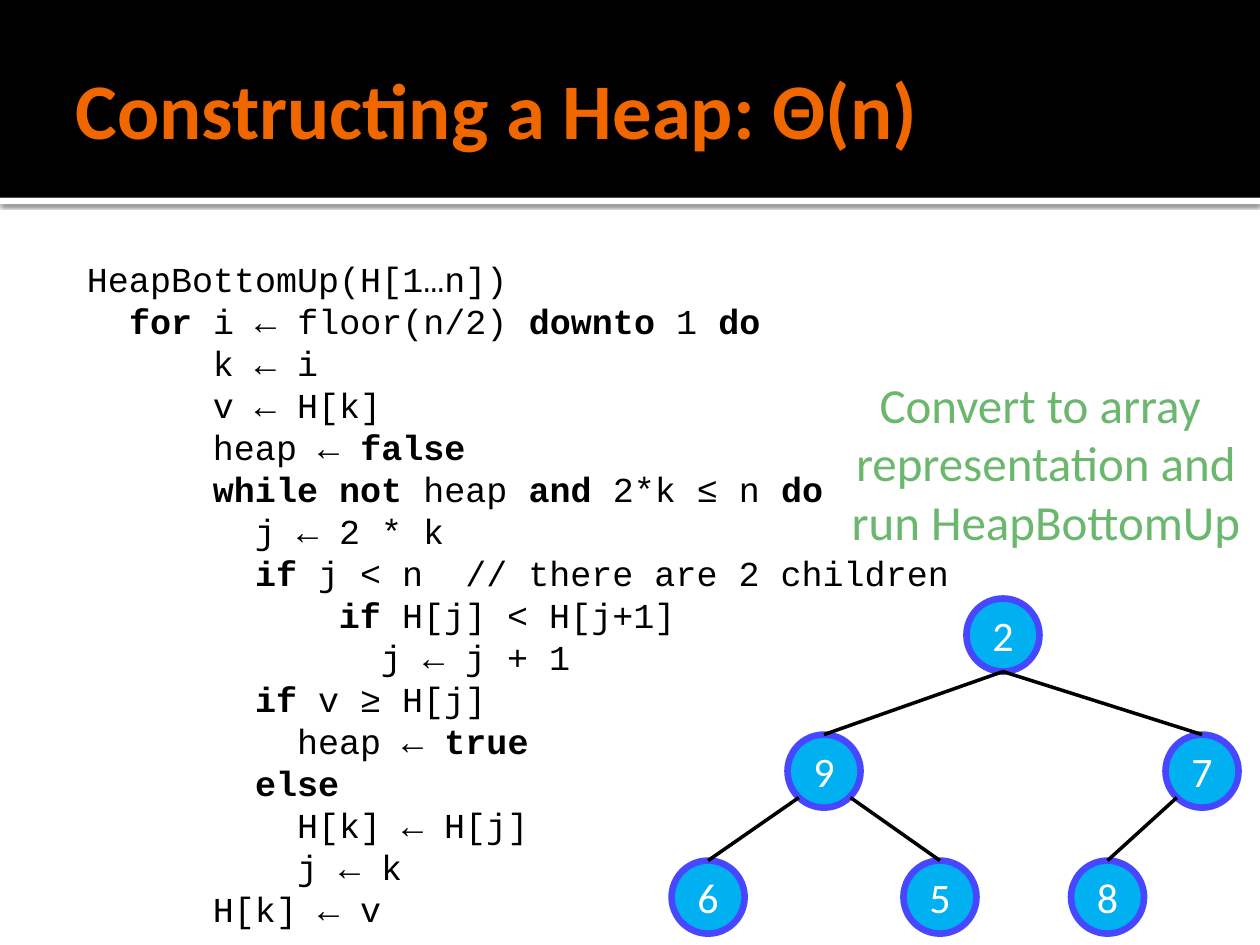
from lxml.etree import SubElement
from pptx import Presentation
from pptx.dml.color import RGBColor
from pptx.enum.shapes import MSO_CONNECTOR, MSO_SHAPE
from pptx.enum.text import MSO_ANCHOR, MSO_AUTO_SIZE, PP_ALIGN
from pptx.oxml.ns import qn
from pptx.util import Inches, Pt

CODE = """HeapBottomUp(H[1…n])
  |for |i ← floor(n/2) |downto| 1 |do
\tk ← i
\tv ← H[k]
\theap ← |false
\t|while not| heap |and| 2*k ≤ n |do
\t  j ← 2 * k
\t  |if |j < n  // there are 2 children
\t\t|if |H[j] < H[j+1]
\t\t  j ← j + 1
\t  |if| v ≥ H[j]
\t    heap ← |true
\t  |else
\t    H[k] ← H[j]
\t    j ← k
\tH[k] ← v"""

NODES = {
    "9": (6.25, 5.83),
    "2": (7.67, 4.75),
    "7": (9.25, 5.83),
    "6": (5.33, 6.83),
    "5": (7.17, 6.83),
    "8": (8.5, 6.83),
}
SIZE = 0.58
EDGES = [
    ("2", "9", 0, SIZE),
    ("2", "7", 0, SIZE),
    ("9", "6", -0.2, 0.5),
    ("7", "8", -0.2, 0.5),
    ("9", "5", 0.21, 0.5),
]


def color(code):
    return RGBColor.from_string(code)


def write(para, text, size=24, font="Calibri", ink="FFFFFF", bold=False,
          align=PP_ALIGN.LEFT):
    para.alignment = align
    for i, part in enumerate(text.split("|")):
        for j, line in enumerate(part.split("\v")):
            if j:
                para.add_line_break()
            if line:
                run = para.add_run()
                run.text = line
                run.font.size = Pt(size)
                run.font.name = font
                run.font.bold = bold or i % 2 == 1
                run.font.color.rgb = color(ink)


class Deck:
    accent = "F06700"
    black = "000000"
    white = "FFFFFF"
    green = "6BB76D"
    blue = "00B0F0"
    ring = "4747FF"
    mono = "Courier New"

    def __init__(self):
        self.show = Presentation()
        self.show.slide_width = Inches(10)
        self.show.slide_height = Inches(7.5)
        self.slide = self.show.slides.add_slide(self.show.slide_layouts[1])
        self.shapes = self.slide.shapes

    def place(self, shape, left, top, width, height):
        shape.left, shape.top = Inches(left), Inches(top)
        shape.width, shape.height = Inches(width), Inches(height)

    def inset(self, frame, left, top, right, low):
        frame.margin_left, frame.margin_top = Inches(left), Inches(top)
        frame.margin_right, frame.margin_bottom = Inches(right), Inches(low)

    def band(self, top, height, fill, depth, shade=False):
        shape = self.shapes.add_shape(
            MSO_SHAPE.RECTANGLE, 0, Inches(top), Inches(10), Inches(height))
        shape.shadow.inherit = False
        shape.fill.solid()
        shape.fill.fore_color.rgb = color(fill)
        shape.line.fill.background()
        if shade:
            glow = shape.element.spPr.find(qn("a:effectLst"))
            cast = SubElement(glow, qn("a:outerShdw"), blurRad=str(Pt(2.5)),
                              dist=str(Pt(0.8)), dir="5400000",
                              algn="t", rotWithShape="0")
            tint = SubElement(cast, qn("a:srgbClr"), val=self.black)
            SubElement(tint, qn("a:alpha"), val="60000")
        shape.element.getparent().insert(depth, shape.element)

    def title(self, text):
        shape = self.shapes.title
        self.place(shape, 0.5, 0.17, 9, 1.37)
        frame = shape.text_frame
        frame.auto_size = MSO_AUTO_SIZE.NONE
        frame.vertical_anchor = MSO_ANCHOR.MIDDLE
        self.inset(frame, 0.1, 0.05, 0.05, 0.05)
        write(frame.paragraphs[0], text, size=45, ink=self.accent, bold=True)

    def code(self, text):
        shape = self.slide.placeholders[1]
        self.place(shape, 0.5, 1.94, 9, 5.56)
        frame = shape.text_frame
        frame.auto_size = MSO_AUTO_SIZE.NONE
        frame.vertical_anchor = MSO_ANCHOR.TOP
        self.inset(frame, 0.19, 0.1, 0.1, 0.05)
        for i, line in enumerate(text.split("\n")):
            para = frame.add_paragraph() if i else frame.paragraphs[0]
            props = para._p.get_or_add_pPr()
            props.set("marL", "0")
            props.set("indent", "0")
            props.set("defTabSz", str(Inches(1)))
            SubElement(props, qn("a:buNone"))
            para.space_before = Pt(0)
            para.line_spacing = Pt(24)
            write(para, line, size=20, font=self.mono, ink=self.black)

    def node(self, text, left, top):
        shape = self.shapes.add_shape(
            MSO_SHAPE.OVAL, Inches(left), Inches(top),
            Inches(SIZE), Inches(SIZE))
        shape.shadow.inherit = False
        shape.fill.solid()
        shape.fill.fore_color.rgb = color(self.blue)
        shape.line.color.rgb = color(self.ring)
        shape.line.width = Pt(3.78)
        frame = shape.text_frame
        frame.vertical_anchor = MSO_ANCHOR.MIDDLE
        self.inset(frame, 0, 0, 0, 0)
        write(frame.paragraphs[0], text, align=PP_ALIGN.CENTER)

    def edge(self, start, end, right, down):
        left, top = NODES[start]
        x, y = NODES[end]
        half = SIZE / 2
        line = self.shapes.add_connector(
            MSO_CONNECTOR.STRAIGHT,
            Inches(left + half + right), Inches(top + down),
            Inches(x + half), Inches(y))
        line.line.color.rgb = color(self.black)
        line.line.width = Pt(2)
        SubElement(line._element.spPr, qn("a:effectLst"))

    def note(self, text):
        shape = self.shapes.add_textbox(
            Inches(6.6), Inches(2.92), Inches(3.4), Inches(1.51))
        frame = shape.text_frame
        frame.word_wrap = False
        frame.auto_size = MSO_AUTO_SIZE.SHAPE_TO_FIT_TEXT
        write(frame.paragraphs[0], text, size=28, ink=self.green,
              align=PP_ALIGN.CENTER)


def main():
    deck = Deck()
    deck.band(1.57, 0.05, deck.white, 2, shade=True)
    deck.band(0, 1.57, deck.black, 3)
    deck.title("Constructing a Heap: Θ(n)")
    deck.code(CODE)
    for text, spot in NODES.items():
        deck.node(text, *spot)
    for edge in EDGES:
        deck.edge(*edge)
    deck.note("Convert to array \vrepresentation and\vrun HeapBottomUp")
    deck.show.save("out.pptx")


if __name__ == "__main__":
    main()
